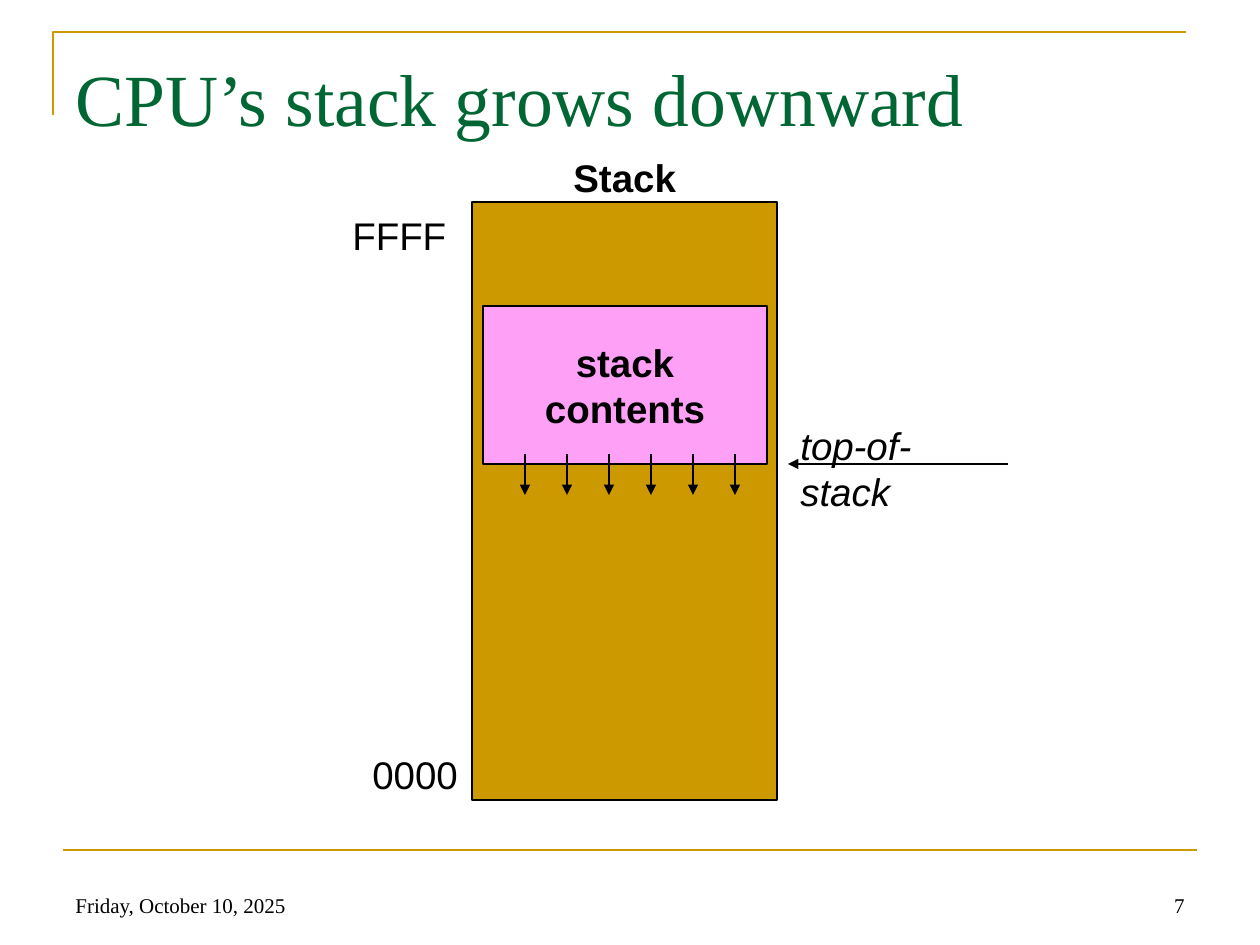
from pptx import Presentation
from pptx.dml.color import RGBColor
from pptx.enum.shapes import MSO_CONNECTOR, MSO_SHAPE
from pptx.enum.text import MSO_ANCHOR, PP_ALIGN
from pptx.oxml.ns import qn
from pptx.util import Pt
from lxml import etree

RECTANGLE = MSO_SHAPE.RECTANGLE
STRAIGHT = MSO_CONNECTOR.STRAIGHT
LEFT, CENTER, RIGHT = PP_ALIGN.LEFT, PP_ALIGN.CENTER, PP_ALIGN.RIGHT
TOP, MIDDLE, BOTTOM = MSO_ANCHOR.TOP, MSO_ANCHOR.MIDDLE, MSO_ANCHOR.BOTTOM

SCALE = 914400 / 126  # EMU per px

THEME = {
    "gold": RGBColor(0xCC, 0x99, 0x00),
    "green": RGBColor(0x00, 0x66, 0x33),
    "pink": RGBColor(0xFE, 0xA0, 0xF5),
    "black": RGBColor(0, 0, 0),
    "serif": "Times New Roman",
    "sans": "Arial",
    "title": 42,
    "label": 22,
    "footer": 12,
    "rule": 1.5,
    "outline": 0.75,
}

# Content: boxes are left, top, width, height in px
TITLE = ("CPU’s stack grows downward", (63, 38, 1134, 157))
LABELS = [
    ("Stack", (561, 144, 130, 59), {"bold": True}),
    ("top-of-stack", (788, 412, 190, 51), {"italic": True, "wrap": True}),
    ("0000", (360, 741, 112, 59), {}),
    ("FFFF", (340, 202, 121, 59), {}),
]
FOOTERS = [
    ("Friday, October 10, 2025", (63, 861, 294, 63), LEFT),
    ("7", (903, 861, 294, 63), RIGHT),
]
MEMORY = (472, 202, 305, 598)
CONTENTS = ("stack\ncontents", (483, 306, 284, 158))
CORNER = [(53, 115), (53, 32), (1186, 32)]
FOOTER_RULE = [(63, 850), (1197, 850)]
TOP_POINTER = [(1008, 464), (788, 464)]
GROWTH_COUNT, GROWTH_LEFT, GROWTH_STEP = 6, 525, 42
GROWTH_TOP, GROWTH_BOTTOM = 454, 495


def px(value):
    return round(value * SCALE)


def style_line(shape, color, width):
    shape.line.color.rgb = THEME[color]
    shape.line.width = Pt(THEME[width])


def write(shape, text, size, font="sans", color="black", align=LEFT, anchor=TOP,
          bold=False, italic=False, wrap=False, inset_top=6):
    frame = shape.text_frame
    frame.text = text
    frame.word_wrap = wrap
    frame.vertical_anchor = anchor
    frame.margin_top = px(inset_top)
    for paragraph in frame.paragraphs:
        paragraph.alignment = align
        for run in paragraph.runs:
            run.font.name = THEME[font]
            run.font.size = Pt(THEME[size])
            run.font.color.rgb = THEME[color]
            run.font.bold = bold
            run.font.italic = italic


def add_text(slide, text, box, size, **options):
    write(slide.shapes.add_textbox(*map(px, box)), text, size, **options)


def add_block(slide, box, fill):
    shape = slide.shapes.add_shape(RECTANGLE, *map(px, box))
    shape.shadow.inherit = False
    shape.fill.solid()
    shape.fill.fore_color.rgb = THEME[fill]
    style_line(shape, "black", "outline")
    return shape


def add_line(slide, points, color="black", width="outline", arrow=True):
    (x1, y1), (x2, y2) = points
    line = slide.shapes.add_connector(STRAIGHT, px(x1), px(y1), px(x2), px(y2))
    style_line(line, color, width)
    properties = line._element.spPr
    if arrow:
        etree.SubElement(properties.find(qn("a:ln")), qn("a:tailEnd"), type="triangle")
    etree.SubElement(properties, qn("a:effectLst"))


def main():
    presentation = Presentation()
    presentation.slide_width, presentation.slide_height = px(1260), px(945)
    slide = presentation.slides.add_slide(presentation.slide_layouts[6])

    # Frame: corner bracket and footer rule
    builder = slide.shapes.build_freeform(*CORNER[0], scale=SCALE)
    builder.add_line_segments(CORNER[1:], close=False)
    corner = builder.convert_to_shape()
    corner.shadow.inherit = False
    corner.fill.background()
    style_line(corner, "gold", "rule")
    add_line(slide, FOOTER_RULE, "gold", "rule", arrow=False)

    # Title
    add_text(slide, *TITLE, "title", font="serif", color="green", wrap=True, inset_top=15)

    # Memory and the stack contents inside it
    add_block(slide, MEMORY, "gold")
    text, box = CONTENTS
    write(add_block(slide, box, "pink"), text, "label",
          align=CENTER, anchor=MIDDLE, bold=True)

    # Arrows: growth direction and top of stack
    for index in range(GROWTH_COUNT):
        x = GROWTH_LEFT + index * GROWTH_STEP
        add_line(slide, [(x, GROWTH_TOP), (x, GROWTH_BOTTOM)])
    add_line(slide, TOP_POINTER)

    # Labels and footers
    for text, box, options in LABELS:
        add_text(slide, text, box, "label", inset_top=10, **options)
    for text, box, align in FOOTERS:
        add_text(slide, text, box, "footer", font="serif",
                 align=align, anchor=BOTTOM, wrap=True)

    presentation.save("out.pptx")


if __name__ == "__main__":
    main()
